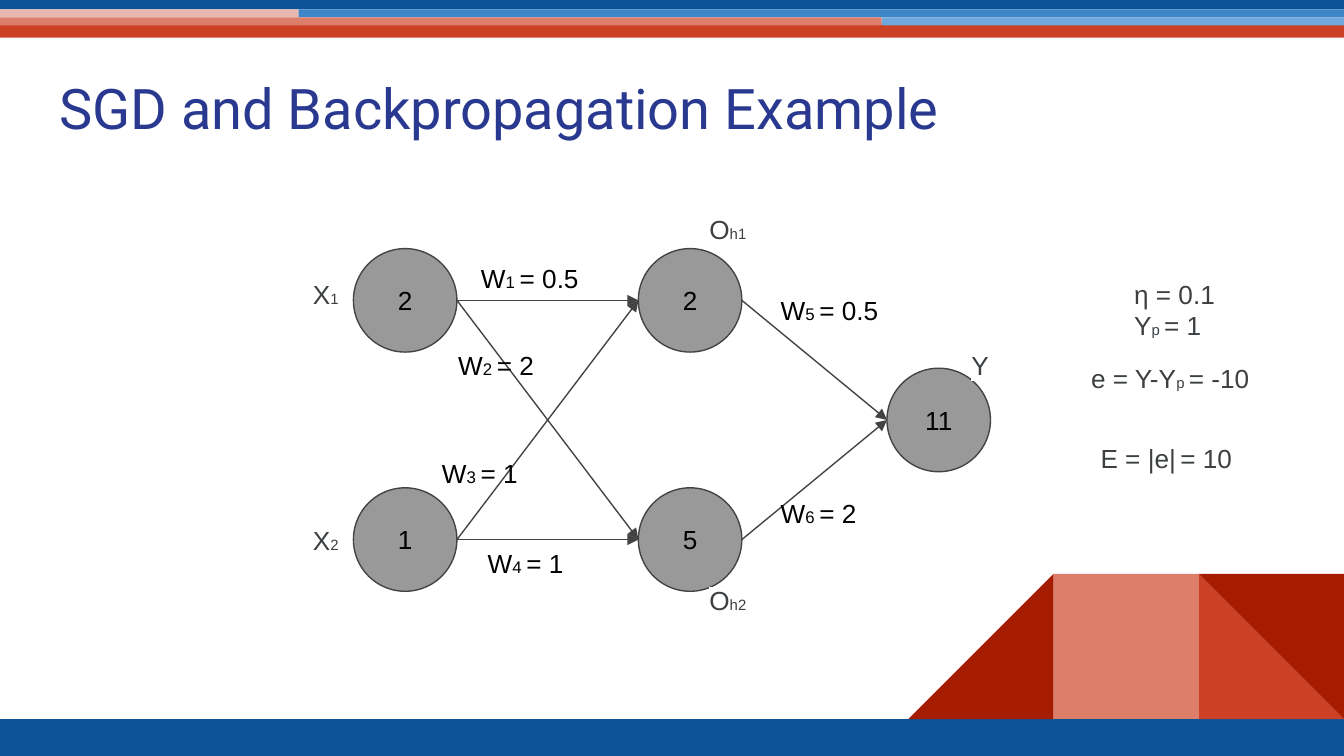
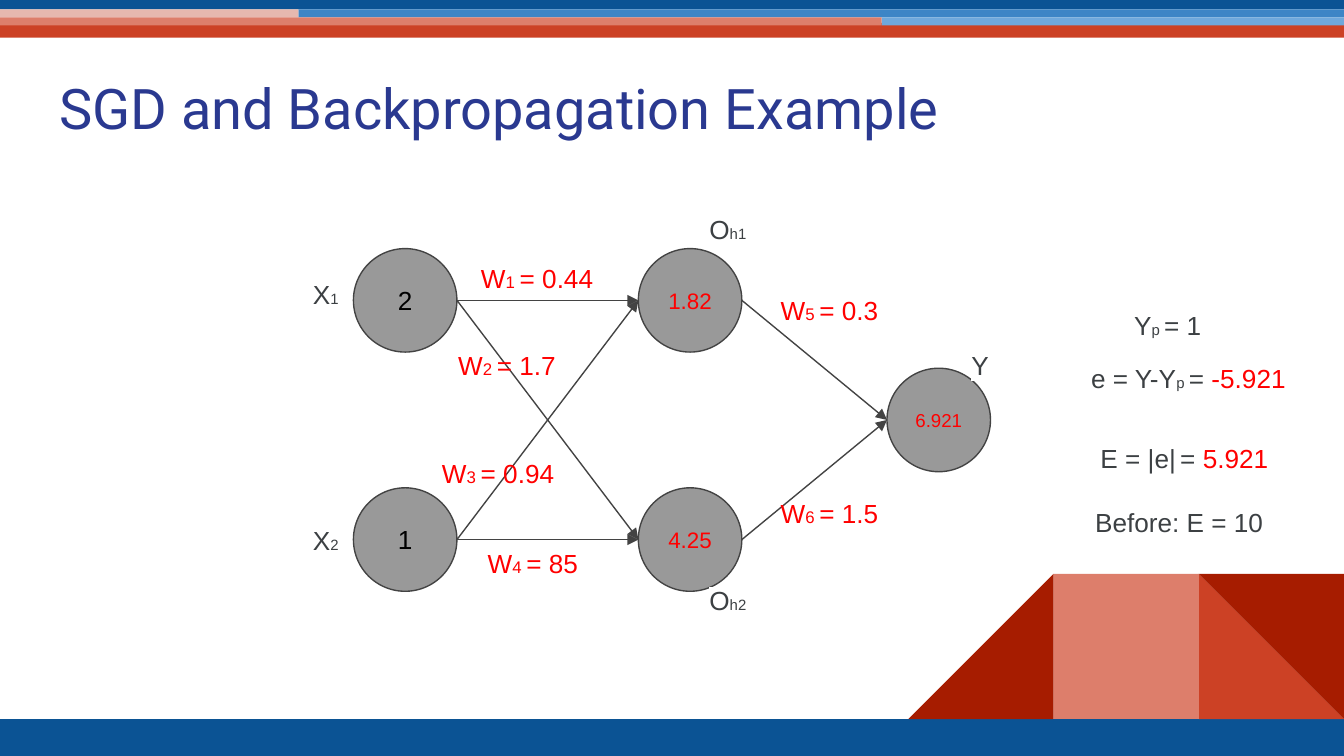
from lxml import etree
from pptx import Presentation
from pptx.dml.color import RGBColor
from pptx.enum.shapes import MSO_CONNECTOR, MSO_SHAPE
from pptx.enum.text import MSO_ANCHOR, MSO_AUTO_SIZE, PP_ALIGN
from pptx.oxml.ns import qn
from pptx.util import Inches, Pt

RECT, TRIANGLE, OVAL = MSO_SHAPE.RECTANGLE, MSO_SHAPE.RIGHT_TRIANGLE, MSO_SHAPE.OVAL
STRAIGHT = MSO_CONNECTOR.STRAIGHT
TOP, MIDDLE = MSO_ANCHOR.TOP, MSO_ANCHOR.MIDDLE
LEFT, CENTER = PP_ALIGN.LEFT, PP_ALIGN.CENTER
NO_FIT = MSO_AUTO_SIZE.NONE

COLORS = {
    "navy": "0B5394", "blue": "3D85C6", "sky": "6FA8DC",
    "red": "CC4125", "dark_red": "A61C00", "salmon": "DD7E6B", "pink": "E6B8AF",
    "title": "2A3990", "node": "999999", "line": "434343",
    "text": "3C4043", "black": "000000", "new": "FF0000", "white": "FFFFFF",
}
WIDTH = 10
HEIGHT = WIDTH * 9 / 16
TITLE = "SGD and Backpropagation Example"
TITLE_BOX = (0.34, 0.45, 9.32, 0.66)

FOOT, BLOCK = 5.35, 1.08
BLOCK_TOP = FOOT - BLOCK
BANDS = [
    (RECT, "red", 0, 0.17, WIDTH, 0.11),
    (RECT, "navy", 0, FOOT, WIDTH, HEIGHT - FOOT),
    (RECT, "navy", 0, -0.04, WIDTH, 0.11),
    (RECT, "blue", 2.22, 0.07, 7.78, 0.06),
    (RECT, "sky", 6.56, 0.13, 3.44, 0.06),
    (RECT, "pink", 0, 0.07, 2.22, 0.06),
    (RECT, "salmon", 0, 0.13, 6.56, 0.06),
]
BLOCKS = [
    (TRIANGLE, "red", 1, 0, False),
    (TRIANGLE, "dark_red", 3, 0, True),
    (RECT, "salmon", 2, 0, False),
    (TRIANGLE, "dark_red", 1, 180, False),
]

NODE = 0.77
NODES = {
    "h1": (4.75, 1.85), "h2": (4.75, 3.63),
    "y": (6.6, 2.74),
    "x1": (2.63, 1.85), "x2": (2.63, 3.63),
}
EDGES = [("h1", "y"), ("h2", "y"),
         ("x1", "h1"), ("x1", "h2"), ("x2", "h1"), ("x2", "h2")]
WEIGHT_SPOTS = [(3.48, 1.85), (3.31, 2.5), (3.19, 3.3),
                (3.53, 3.97), (5.71, 2.09), (5.71, 3.6)]
LABEL_WIDTH, LABEL_HEIGHT = 1.08, 0.54
NODE_LABELS = [
    (2.23, 1.97, 1.17, [("X", "1"), ("X", "2")], 115),
    (5.18, 1.49, 1.17, [("O", "h1"), ("O", "h2")], 182),
    (7.13, 2.5, 1.17, [("Y",)], 0),
]
TARGET = ("Y", "p ", "= 1")

SLIDES = [
    {
        "values": {"h1": ("2", 14), "h2": ("5", 14), "y": ("11", 14),
                   "x1": ("2", 14), "x2": ("1", 14)},
        "weights": ["0.5", "2", "1", "1", "0.5", "2"],
        "updated": (),
        "formulas": [
            (8.34, 1.97, 0.92, [("η = 0.1",), TARGET], 0),
            (8.02, 2.6, 1.57, [("e = Y-Y", "p ", "= -10")], 0),
            (8.09, 3.19, 1.25, [("E = |e|", " ", "= 10")], 0),
        ],
    },
    {
        "values": {"h1": ("1.82", 12), "h2": ("4.25", 12), "y": ("6.921", 10),
                   "x1": ("2", 14), "x2": ("1", 14)},
        "weights": ["0.44", "1.7", "0.94", "85", "0.3", "1.5"],
        "updated": ("h1", "h2", "y", "weights"),
        "formulas": [
            (8.34, 2.2, 0.92, [TARGET], 0),
            (8.02, 2.6, 1.93, [("e = Y-Y", "p ", "= ", "-5.921")], 0),
            (8.09, 3.19, 1.57, [("E = |e|", " ", "= ", "5.921")], 0),
            (8.05, 3.67, 1.66, [("Before: E = 10",)], 0),
        ],
    },
]


def rgb(name):
    return RGBColor.from_string(COLORS[name])


def set_frame(tf, anchor):
    tf.word_wrap = True
    tf.auto_size = NO_FIT
    tf.vertical_anchor = anchor
    tf.margin_left = tf.margin_right = tf.margin_top = tf.margin_bottom = Inches(0.1)


def set_font(p, name, color, size=None):
    p.font.name = name
    p.font.color.rgb = rgb(color)
    if size:
        p.font.size = Pt(size)


def add_filled(slide, kind, color, *box):
    sp = slide.shapes.add_shape(kind, *map(Inches, box))
    sp.shadow.inherit = False
    sp.fill.solid()
    sp.fill.fore_color.rgb = rgb(color)
    sp.line.fill.background()
    return sp


def add_bands(slide, layout):
    shapes = [add_filled(slide, *band) for band in BANDS]
    for kind, color, column, rotation, flipped in BLOCKS:
        sp = add_filled(slide, kind, color, WIDTH - column * BLOCK, BLOCK_TOP, BLOCK, BLOCK)
        sp.rotation = rotation
        if flipped:
            sp.element.spPr.find(qn("a:xfrm")).set("flipH", "1")
        shapes.append(sp)
    for sp in shapes:
        layout.shapes.element.append(sp.element)


def add_title(slide):
    sp = slide.shapes.title
    sp.left, sp.top, sp.width, sp.height = map(Inches, TITLE_BOX)
    tf = sp.text_frame
    set_frame(tf, TOP)
    p = tf.paragraphs[0]
    p.text = TITLE
    p.alignment = LEFT
    set_font(p, "Roboto", "title", 30)


def add_node(slide, name, value, size, color):
    sp = add_filled(slide, OVAL, "node", *NODES[name], NODE, NODE)
    sp.line.color.rgb = rgb("line")
    sp.line.width = Pt(0.75)
    set_frame(sp.text_frame, MIDDLE)
    p = sp.text_frame.paragraphs[0]
    p.text = value
    p.alignment = CENTER
    set_font(p, "Arial", color, size)


def add_edge(slide, start, end):
    (x1, y1), (x2, y2) = NODES[start], NODES[end]
    ends = (x1 + NODE, y1 + NODE / 2, x2, y2 + NODE / 2)
    line = slide.shapes.add_connector(STRAIGHT, *map(Inches, ends))
    line.line.color.rgb = rgb("line")
    line.line.width = Pt(0.75)
    spPr = line.element.spPr
    etree.SubElement(spPr.find(qn("a:ln")), qn("a:tailEnd"), type="triangle")
    etree.SubElement(spPr, qn("a:effectLst"))


def add_label(slide, x, y, width, lines, gap=0, color="text", small=8, highlight=True):
    box = slide.shapes.add_textbox(*map(Inches, (x, y, width, LABEL_HEIGHT)))
    tf = box.text_frame
    set_frame(tf, TOP)
    for i, parts in enumerate(lines):
        p = tf.add_paragraph() if i else tf.paragraphs[0]
        if i and gap:
            p.space_before = Pt(gap)
        set_font(p, "Arial", color)
        for j, text in enumerate(parts):
            r = p.add_run()
            r.text = text
            r.font.size = Pt(small if j == 1 else 14)
            if j == 3:
                r.font.color.rgb = rgb("new")
            if highlight:
                mark = etree.SubElement(r._r.get_or_add_rPr(), qn("a:highlight"))
                etree.SubElement(mark, qn("a:srgbClr"), val=COLORS["white"])


def add_network(slide, data):
    def shade(part):
        return "new" if part in data["updated"] else "black"

    for name, (value, size) in data["values"].items():
        add_node(slide, name, value, size, shade(name))
    for edge in EDGES:
        add_edge(slide, *edge)
    for i, ((x, y), weight) in enumerate(zip(WEIGHT_SPOTS, data["weights"]), 1):
        add_label(slide, x, y, LABEL_WIDTH, [("W", f"{i} ", f"= {weight}")],
                  color=shade("weights"), small=9, highlight=False)
    for label in NODE_LABELS + data["formulas"]:
        add_label(slide, *label)


def main():
    prs = Presentation()
    prs.slide_width, prs.slide_height = Inches(WIDTH), Inches(HEIGHT)
    layout = prs.slide_layouts[5]
    for i, data in enumerate(SLIDES):
        slide = prs.slides.add_slide(layout)
        if i == 0:
            add_bands(slide, layout)
        add_title(slide)
        add_network(slide, data)
    prs.save("out.pptx")


if __name__ == "__main__":
    main()
